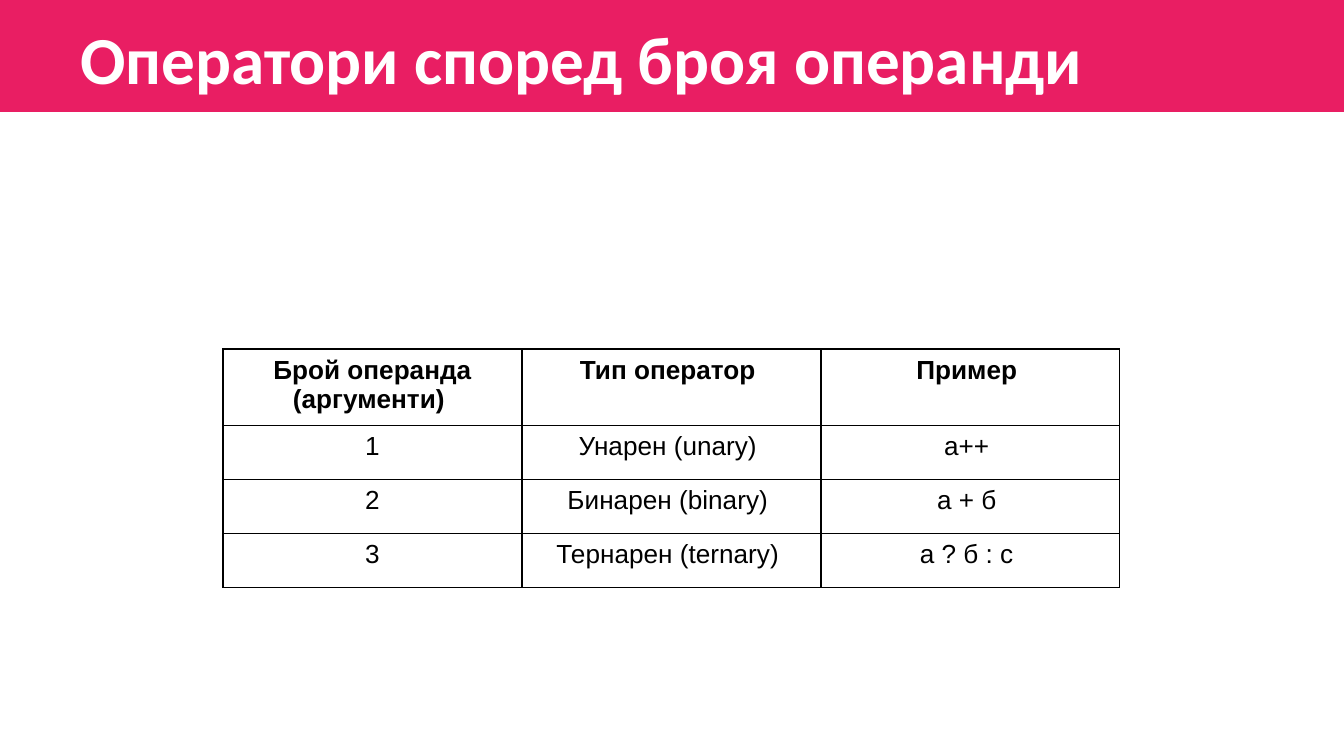
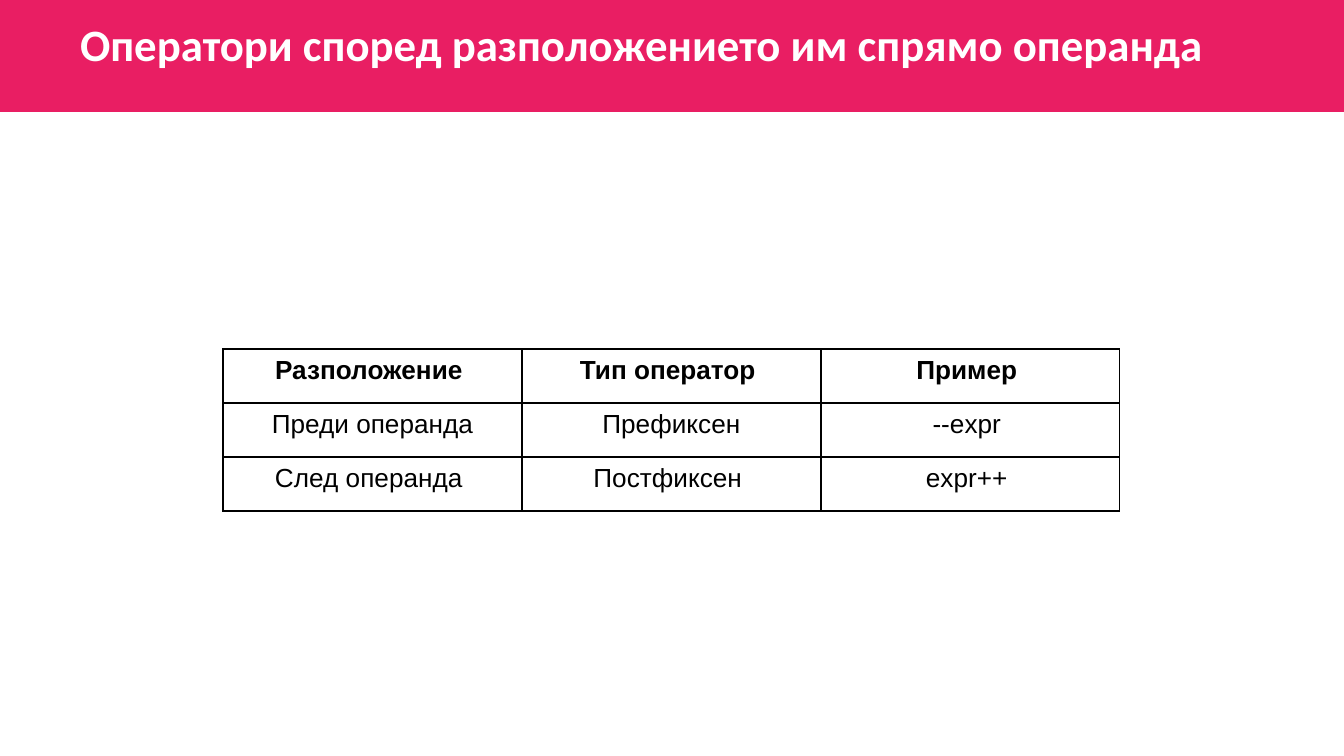
from pptx import Presentation
from pptx.dml.color import RGBColor
from pptx.enum.shapes import MSO_SHAPE
from pptx.enum.text import PP_ALIGN
from pptx.oxml import parse_xml
from pptx.oxml.ns import nsdecls
from pptx.util import Emu, Pt

COLORS = {"band": "E91E63", "title": "FFFFFF", "text": "000000", "line": "000000"}
WIDE, HIGH, BAND = 1344, 756, 112
COL, ROW = 299, 54
SLIDES = [
    ("Оператори според броя операнди", 36, 72, [
        ("Брой операнда (аргументи) ", "Тип оператор ", "Пример "),
        ("1", "Унарен (unary) ", "а++ "),
        ("2", "Бинарен (binary) ", "а + б "),
        ("3", "Тернарен (ternary) ", "а ? б : с "),
    ]),
    ("Оператори според разположението им спрямо операнда", 24, ROW, [
        ("Разположение ", "Тип оператор ", "Пример "),
        ("Преди операнда", "Префиксен", "--expr "),
        ("След операнда ", "Постфиксен ", "expr++ "),
    ]),
]


def px(n):
    return Emu(round(n * 914400 / 134.4))


def style(para, name, size, color, bold):
    font = para.font
    font.name, font.size, font.bold = name, Pt(size), bold
    font.color.rgb = RGBColor.from_string(COLORS[color])


deck = Presentation()
deck.slide_width, deck.slide_height = px(WIDE), px(HIGH)

for title, size, head, rows in SLIDES:
    slide = deck.slides.add_slide(deck.slide_layouts[6])

    # Title band
    band = slide.shapes.add_shape(MSO_SHAPE.RECTANGLE, 0, 0, px(WIDE), px(BAND))
    band.shadow.inherit = False
    band.fill.solid()
    band.fill.fore_color.rgb = RGBColor.from_string(COLORS["band"])
    band.line.fill.background()

    # Title
    frame = slide.shapes.add_textbox(0, px(4), px(1329), px(104)).text_frame
    frame.word_wrap = True
    frame.margin_left = frame.margin_right = px(13)
    frame.margin_top = frame.margin_bottom = px(13)
    para = frame.paragraphs[0]
    para.text = title
    para._p.get_or_add_pPr().set("marL", str(px(67)))
    style(para, "Calibri", size, "title", True)

    # Table, centred across the slide
    wide, high = 3 * COL, head + ROW * (len(rows) - 1)
    table = slide.shapes.add_table(
        len(rows), 3, px((WIDE - wide) // 2), px(349), px(wide), px(high)).table
    table.first_row = table.horz_banding = False
    for col in table.columns:
        col.width = px(COL)
    for r, texts in enumerate(rows):
        table.rows[r].height = px(ROW if r else head)
        for c, text in enumerate(texts):
            cell = table.cell(r, c)
            para = cell.text_frame.paragraphs[0]
            para.text = text
            para.alignment = PP_ALIGN.CENTER
            style(para, "Arial", 14, "text", r == 0)

            # Cell borders come before the fill
            props = cell._tc.get_or_add_tcPr()
            for side in ("lnL", "lnR", "lnT", "lnB"):
                props.append(parse_xml(
                    f'<a:{side} {nsdecls("a")} w="{Pt(0.75)}"><a:solidFill>'
                    f'<a:srgbClr val="{COLORS["line"]}"/></a:solidFill></a:{side}>'))
            cell.fill.background()

deck.save("out.pptx")
